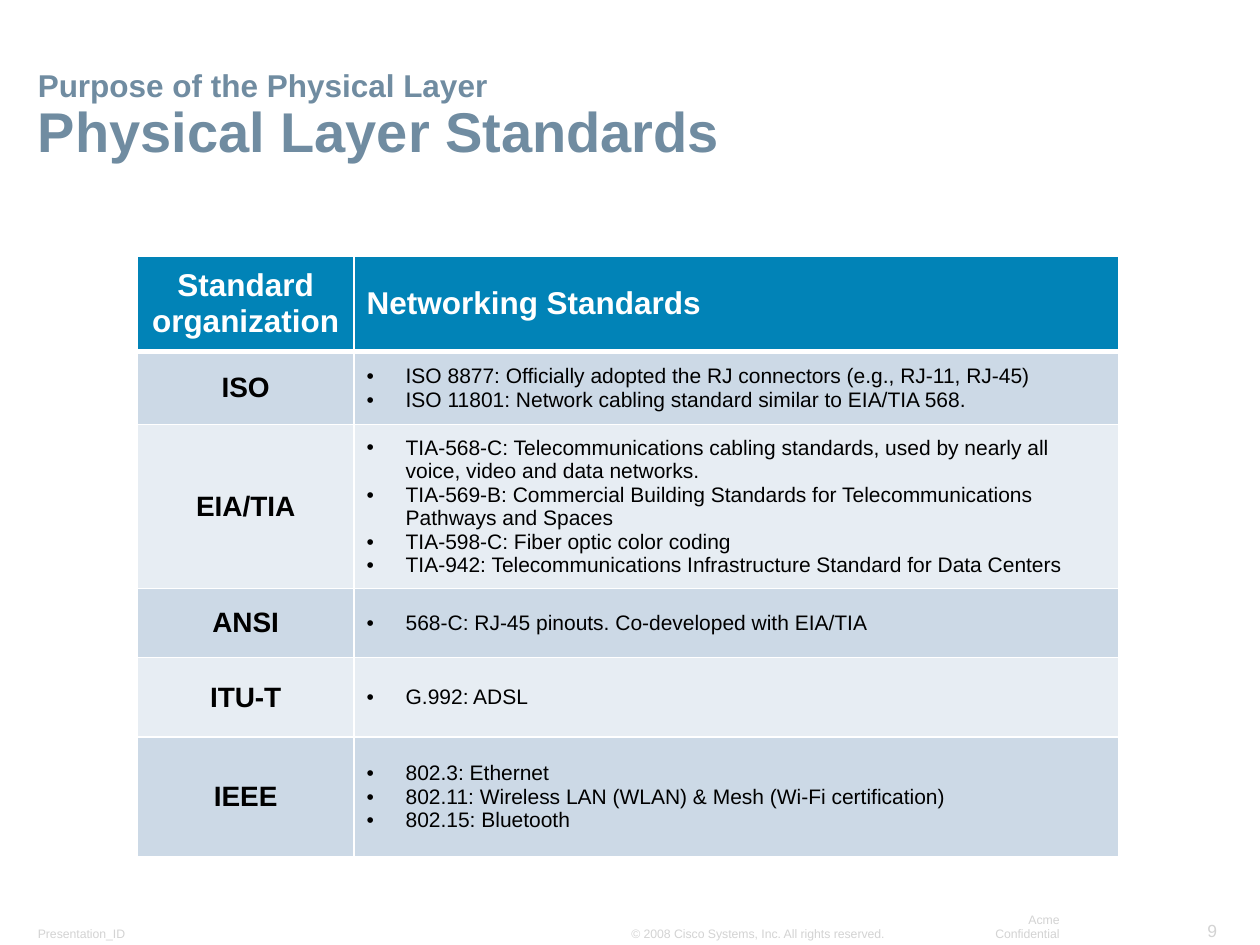
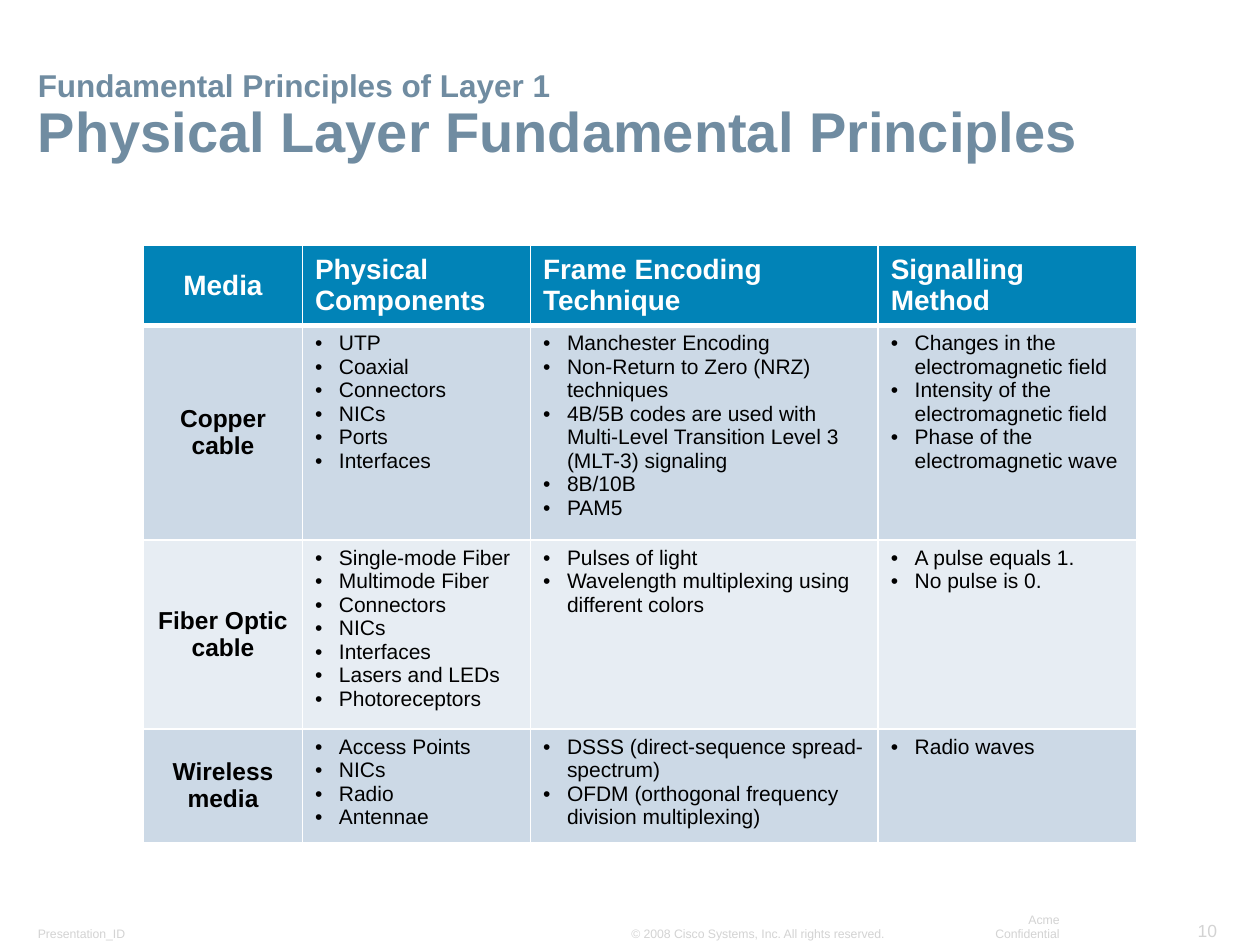
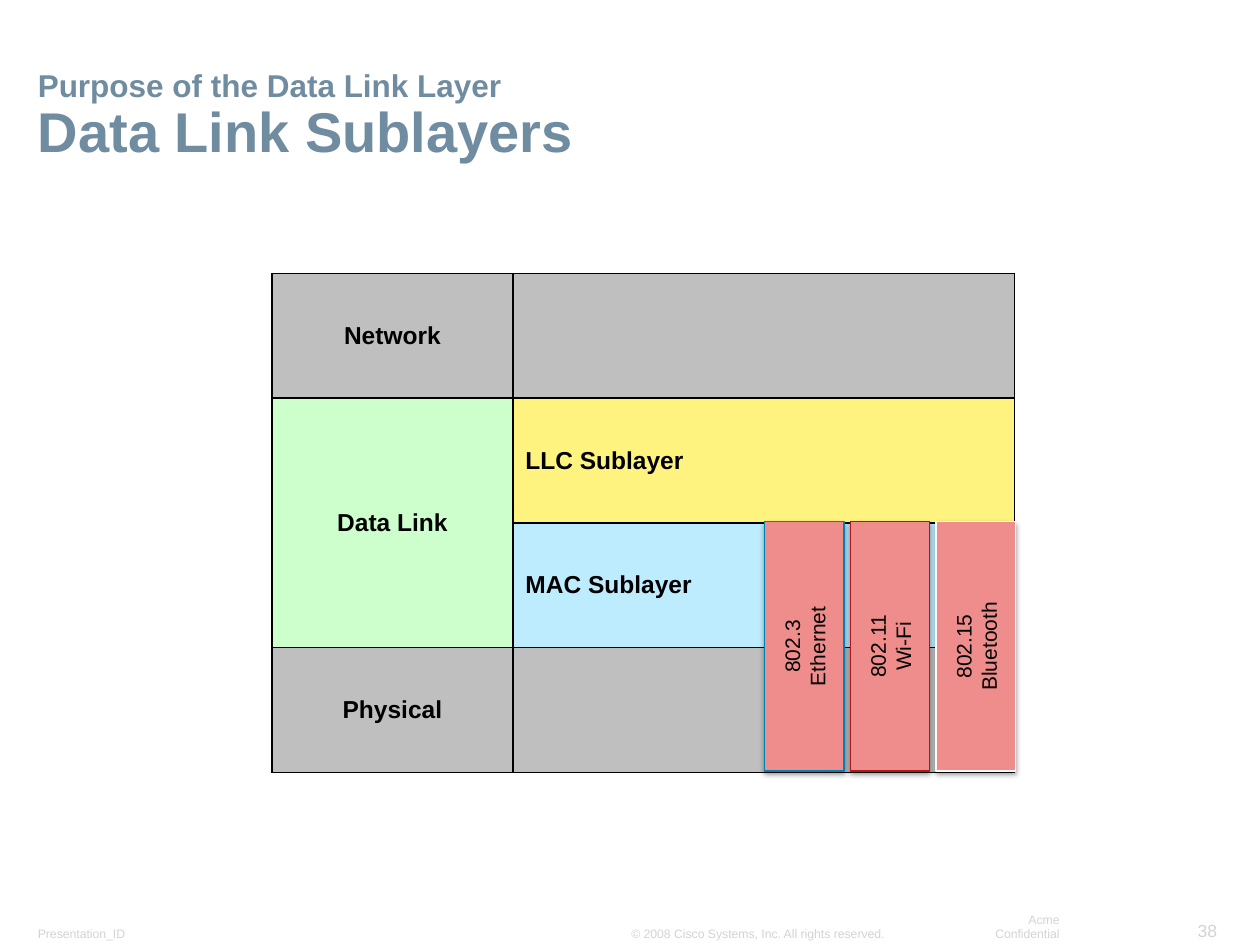
from lxml import etree
from pptx import Presentation
from pptx import util as u
from pptx.dml.color import RGBColor
from pptx.enum import shapes, text
from pptx.oxml import parse_xml
from pptx.oxml.ns import nsdecls, qn

FONT = "Arial"
C = {
    "title": "708CA1", "footer": "D3D3D3", "header": "0183B7",
    "band_dark": "CCD9E6", "band_light": "E7EDF3",
    "white": "FFFFFF", "black": "000000",
    "gray": "BFBFBF", "green": "CCFFCC", "yellow": "FFF37F", "blue": "BEECFF",
    "protocol": "EF8C8C", "ethernet": "0081B4", "wifi": "B21616", "bluetooth": "F9F9F9",
}
LEFT, CENTER, RIGHT = text.PP_ALIGN.LEFT, text.PP_ALIGN.CENTER, text.PP_ALIGN.RIGHT
TOP, MIDDLE, BOTTOM = text.MSO_ANCHOR.TOP, text.MSO_ANCHOR.MIDDLE, text.MSO_ANCHOR.BOTTOM

STANDARDS = [
    ("ISO", ["ISO 8877: Officially adopted the RJ connectors (e.g., RJ-11, RJ-45)",
             "ISO 11801: Network cabling standard similar to EIA/TIA 568."]),
    ("EIA/TIA", ["TIA-568-C: Telecommunications cabling standards, used by nearly all "
                 "voice, video and data networks.",
                 "TIA-569-B: Commercial Building Standards for Telecommunications "
                 "Pathways and Spaces",
                 "TIA-598-C: Fiber optic color coding",
                 "TIA-942: Telecommunications Infrastructure Standard for Data Centers"]),
    ("ANSI", ["568-C: RJ-45 pinouts. Co-developed with EIA/TIA"]),
    ("ITU-T", ["G.992: ADSL"]),
    ("IEEE", ["802.3: Ethernet",
              "802.11: Wireless LAN (WLAN) & Mesh (Wi-Fi certification)",
              "802.15: Bluetooth"]),
]
MEDIA = [
    ("Copper cable",
     ["UTP", "Coaxial", "Connectors", "NICs", "Ports", "Interfaces"],
     ["Manchester Encoding", "Non-Return to Zero (NRZ) techniques",
      "4B/5B codes are used with Multi-Level Transition Level 3 (MLT-3) signaling",
      "8B/10B", "PAM5"],
     ["Changes in the electromagnetic field", "Intensity of the electromagnetic field",
      "Phase of the electromagnetic wave"]),
    ("Fiber Optic cable",
     ["Single-mode Fiber", "Multimode Fiber", "Connectors", "NICs", "Interfaces",
      "Lasers and LEDs", "Photoreceptors"],
     ["Pulses of light", "Wavelength multiplexing using different colors"],
     ["A pulse equals 1.", "No pulse is 0."]),
    ("Wireless media",
     ["Access Points", "NICs", "Radio", "Antennae"],
     ["DSSS (direct-sequence spread-spectrum)",
      "OFDM (orthogonal frequency division multiplexing)"],
     ["Radio waves"]),
]


def rgb(name):
    return RGBColor.from_string(C[name])


def add_run(p, words, size, color="black", bold=False):
    r = p.add_run()
    r.text = words
    r.font.name, r.font.size, r.font.bold = FONT, u.Pt(size), bold
    r.font.color.rgb = rgb(color)


def add_bullet(p, indent):
    pPr = p._p.get_or_add_pPr()
    pPr.set("marL", str(u.Inches(indent)))
    pPr.set("indent", str(-u.Inches(indent)))
    etree.SubElement(pPr, qn("a:buFont"), typeface=FONT)
    etree.SubElement(pPr, qn("a:buChar"), char="•")


def write(tf, lines, size, color="black", bold=False, align=LEFT, indent=None):
    for i, line in enumerate(lines):
        p = tf.paragraphs[0] if i == 0 else tf.add_paragraph()
        if indent:
            add_bullet(p, indent)
        p.alignment = align
        add_run(p, line, size, color, bold)


def set_insets(tf, x, y):
    tf.margin_left = tf.margin_right = u.Inches(x)
    tf.margin_top = tf.margin_bottom = u.Inches(y)


def add_title(s, topic, heading):
    sp = s.shapes.title
    sp.left, sp.top, sp.width, sp.height = map(u.Inches, (0.21, 0.43, 9.59, 0.92))
    tf = sp.text_frame
    set_insets(tf, 0.09, 0.04)
    tf.vertical_anchor, tf.auto_size = BOTTOM, text.MSO_AUTO_SIZE.NONE
    p = tf.paragraphs[0]
    p.alignment, p.line_spacing = LEFT, 0.9
    add_run(p, topic, 18, "title", True)
    p.add_line_break()
    add_run(p, heading, 32, "title", True)


def add_footer(s, number):
    for words, x, y, w, h, size, align in (
            ("Presentation_ID", 0.21, 7.3, 1.05, 0.21, 7, LEFT),
            (str(number), 9.4, 7.25, 0.35, 0.26, 10, RIGHT),
            ("© 2008 Cisco Systems, Inc. All rights reserved.", 4.92, 7.3, 2.21, 0.21, 7, LEFT),
            ("Acme Confidential", 7.54, 7.3, 0.96, 0.21, 7, RIGHT)):
        tf = s.shapes.add_textbox(*map(u.Inches, (x, y, w, h))).text_frame
        set_insets(tf, 0.09, 0.04)
        tf.vertical_anchor, tf.word_wrap = BOTTOM, False
        write(tf, [words], size, "footer", align=align)


def new_slide(prs, number, topic, heading):
    s = prs.slides.add_slide(prs.slide_layouts[5])
    add_footer(s, number)
    add_title(s, topic, heading)
    return s


def style_cell(cell, fill, line, anchor=MIDDLE, top=1, bottom=1):
    """Fill a cell and draw its four borders; top and bottom are widths in points."""
    cell.vertical_anchor = anchor
    cell.fill.solid()
    cell.fill.fore_color.rgb = rgb(fill)
    tcPr = cell._tc.get_or_add_tcPr()
    for i, (side, width) in enumerate((("L", 1), ("R", 1), ("T", top), ("B", bottom))):
        tcPr.insert(i, parse_xml(
            f'<a:ln{side} {nsdecls("a")} w="{u.Pt(width)}"><a:solidFill>'
            f'<a:srgbClr val="{C[line]}"/></a:solidFill></a:ln{side}>'))


def add_grid(s, x, y, cols, rows):
    tbl = s.shapes.add_table(len(rows), len(cols), u.Inches(x), u.Inches(y),
                             u.Inches(sum(cols)), u.Inches(sum(rows))).table
    tbl.first_row = tbl.horz_banding = False
    for col, w in zip(tbl.columns, cols):
        col.width = u.Inches(w)
    for row, h in zip(tbl.rows, rows):
        row.height = u.Inches(h)
    return tbl


def add_banded_table(s, x, y, cols, rows, headings, records, head_size, label_size,
                     indent, list_anchor):
    """Header row, bold label column and bulleted lists in alternating bands."""
    tbl = add_grid(s, x, y, cols, rows)
    for c, heading in enumerate(headings):
        cell = tbl.cell(0, c)
        style_cell(cell, "header", "white", bottom=3)
        write(cell.text_frame, [heading], head_size, "white", True, LEFT if c else CENTER)
    for r, (label, *lists) in enumerate(records, 1):
        band = "band_dark" if r % 2 else "band_light"
        top = 3 if r == 1 else 1
        cell = tbl.cell(r, 0)
        style_cell(cell, band, "white", top=top)
        write(cell.text_frame, [label], label_size, bold=True, align=CENTER)
        for c, items in enumerate(lists, 1):
            cell = tbl.cell(r, c)
            style_cell(cell, band, "white", list_anchor, top)
            write(cell.text_frame, items, 12, indent=indent)


def add_protocol(s, x, y, w, h, lines, outline):
    sp = s.shapes.add_shape(shapes.MSO_SHAPE.RECTANGLE, *map(u.Inches, (x, y, w, h)))
    sp.fill.solid()
    sp.fill.fore_color.rgb = rgb("protocol")
    sp.line.color.rgb, sp.line.width = rgb(outline), u.Pt(0.75)
    sp.shadow.inherit = False
    sp.element.spPr.find(qn("a:effectLst")).append(parse_xml(
        f'<a:outerShdw {nsdecls("a")} blurRad="{u.Pt(3.1)}" dist="{u.Pt(1.6)}" '
        f'dir="5400000" rotWithShape="0"><a:srgbClr val="{C["black"]}">'
        '<a:alpha val="38000"/></a:srgbClr></a:outerShdw>'))
    tf = sp.text_frame
    tf.vertical_anchor = MIDDLE
    tf._txBody.bodyPr.set("vert", "vert270")
    write(tf, lines, 12, align=CENTER)


def add_sublayers(s, x, y, row_h):
    tbl = add_grid(s, x, y, [1.91, 3.98], [row_h] * 4)
    layers = [("Network", "gray", "", "gray"),
              ("Data Link", "green", "LLC Sublayer", "yellow"),
              ("", "green", "MAC Sublayer", "blue"),
              ("Physical", "gray", "", "gray")]
    tbl.cell(1, 0).merge(tbl.cell(2, 0))
    for r, (layer, layer_fill, sublayer, sublayer_fill) in enumerate(layers):
        for c, words, fill, align in ((0, layer, layer_fill, CENTER),
                                      (1, sublayer, sublayer_fill, LEFT)):
            cell = tbl.cell(r, c)
            style_cell(cell, fill, "black")
            if words:
                write(cell.text_frame, [words], 14, bold=True, align=align)
    protocols = [("802.3", "Ethernet", "ethernet"), ("802.11", "Wi-Fi", "wifi"),
                 ("802.15", "Bluetooth", "bluetooth")]
    for i, (standard, name, outline) in enumerate(protocols):
        add_protocol(s, x + 3.91 + 0.68 * i, y + 2 * row_h - 0.01, 0.63, 2 * row_h,
                     [standard, name], outline)


def main():
    prs = Presentation()
    prs.slide_width, prs.slide_height = u.Inches(10), u.Inches(7.5)

    s = new_slide(prs, 9, "Purpose of the Physical Layer", "Physical Layer Standards")
    add_banded_table(s, 1.09, 2.03, [1.72, 6.07], [0.76, 0.58, 1.3, 0.55, 0.63, 0.95],
                     ["Standard organization", "Networking Standards"], STANDARDS,
                     18, 16, 0.31, MIDDLE)

    s = new_slide(prs, 10, "Fundamental Principles of Layer 1",
                  "Physical Layer Fundamental Principles")
    add_banded_table(s, 1.14, 1.95, [1.26, 1.81, 2.76, 2.05], [0.63, 1.7, 1.5, 0.9],
                     ["Media", "Physical Components", "Frame Encoding Technique",
                      "Signalling Method"], MEDIA, 16, 14, 0.19, TOP)

    s = new_slide(prs, 38, "Purpose of the Data Link Layer", "Data Link Sublayers")
    add_sublayers(s, 2.16, 2.17, 0.99)
    prs.save("out.pptx")


if __name__ == "__main__":
    main()
